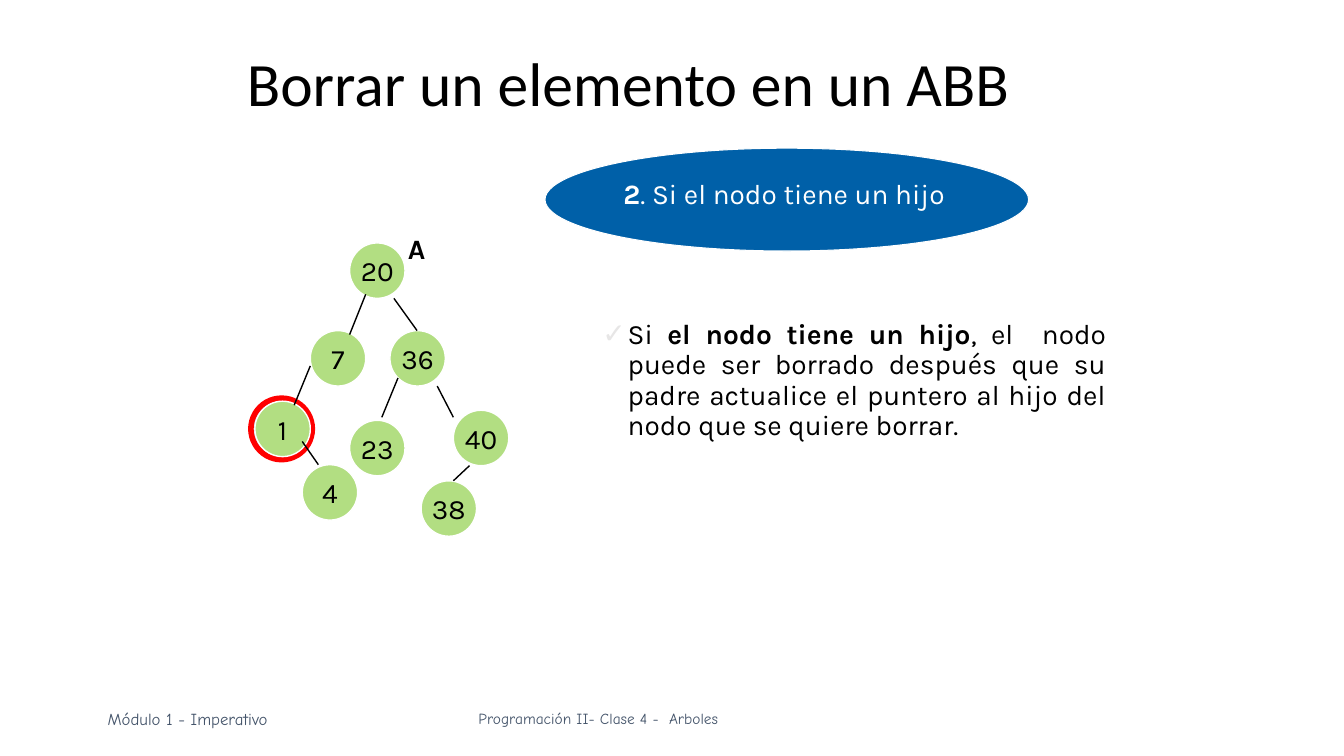
"""Build the slide on deleting a node with one child from a binary search tree."""
from lxml.etree import SubElement
from pptx import Presentation
from pptx.dml.color import RGBColor as RGB
from pptx.enum.shapes import MSO_CONNECTOR as CONN, MSO_SHAPE as SHAPE
from pptx.enum.text import MSO_ANCHOR as ANCHOR, MSO_AUTO_SIZE as AUTO, PP_ALIGN as ALIGN
from pptx.oxml.ns import qn
from pptx.util import Emu, Pt

PX = 9144
THEME = {
    "title": {"name": "Calibri", "size": Pt(44), "color": "000000"},
    "text": {"name": "Karla", "size": Pt(20), "color": "000000"},
    "label": {"name": "Karla", "size": Pt(20), "color": "FFFFFF"},
    "module": {"name": "Comic Neue", "size": Pt(12), "color": "44546A"},
    "course": {"name": "Comic Neue", "size": Pt(11), "color": "44546A"},
    "node": "B2DE82", "ring": "FF0000", "ring_fill": "BED1E0",
    "banner": "0060A8", "outline": "FFFFFF", "edge": "000000", "bullet": "E7E6E6",
}


def write(sp, runs, style, align=ALIGN.LEFT, anchor=ANCHOR.TOP, wrap=True):
    """Fill a shape with one paragraph of (text, bold) runs and return it."""
    tf = sp.text_frame
    frame = {"auto_size": AUTO.NONE, "word_wrap": wrap, "vertical_anchor": anchor}
    for key, value in frame.items():
        setattr(tf, key, value)
    p = tf.paragraphs[0]
    p.alignment = align
    for text, bold in runs:
        r = p.add_run()
        r.text = text
        for key, value in {**THEME[style], "bold": bold}.items():
            if key == "color":
                r.font.color.rgb = RGB.from_string(value)
            else:
                setattr(r.font, key, value)
    return p


def oval(box, fill, line, width):
    """Add a flat ellipse in px and return it."""
    sp = s.shapes.add_shape(SHAPE.OVAL, *(Emu(v * PX) for v in box))
    sp.shadow.inherit = False
    sp.fill.solid()
    sp.fill.fore_color.rgb = RGB.from_string(THEME[fill])
    sp.line.color.rgb = RGB.from_string(THEME[line])
    sp.line.width = Pt(width)
    return sp


prs = Presentation()
prs.slide_width, prs.slide_height = Emu(1334 * PX), Emu(750 * PX)
s = prs.slides.add_slide(prs.slide_layouts[1])

title, body = s.shapes.title, s.placeholders[1]
for sp, box in ((title, (235, 13, 862, 145)), (body, (588, 313, 520, 180))):
    for key, value in zip(("left", "top", "width", "height"), box):
        setattr(sp, key, Emu(value * PX))

p = write(title, [("Borrar un elemento en un ABB", False)], "title", anchor=ANCHOR.MIDDLE)
p.line_spacing = 0.9

p = write(body, [
    ("Si ", False),
    ("el nodo tiene un hijo", True),
    (", el  nodo puede ser borrado después que su padre actualice "
     "el puntero al hijo del nodo que se quiere borrar.", False),
], "text", ALIGN.JUSTIFY)
p.line_spacing, p.space_before = 0.9, Pt(10)
pPr = p._p.get_or_add_pPr()
pPr.set("marL", str(25 * PX))
pPr.set("indent", str(-25 * PX))
SubElement(SubElement(pPr, qn("a:buClr")), qn("a:srgbClr"), val=THEME["bullet"])
SubElement(pPr, qn("a:buChar"), char="✓")

oval((249, 395, 61, 61), "ring_fill", "ring", 4)

NODES = {"20": (347, 241), "7": (308, 328), "36": (387, 328), "1": (253, 398),
         "4": (300, 461), "23": (347, 417), "40": (450, 407), "38": (418, 477)}
for value, (x, y) in NODES.items():
    sp = oval((x, y, 55, 55), "node", "outline", 1)
    write(sp, [(value, False)], "text", ALIGN.CENTER, ANCHOR.MIDDLE, wrap=False)

EDGES = [(363, 292, 347, 332), (391, 296, 414, 328), (308, 363, 292, 402),
         (300, 438, 316, 461), (395, 375, 379, 414), (434, 383, 450, 414),
         (466, 462, 450, 477)]
for ends in EDGES:
    c = s.shapes.add_connector(CONN.STRAIGHT, *(Emu(v * PX) for v in ends))
    c.line.color.rgb = RGB.from_string(THEME["edge"])
    c.line.width = Pt(1)
    SubElement(c._element.spPr, qn("a:effectLst"))

oval((541, 147, 480, 102), "banner", "outline", 0.75)

TEXTS = [
    ((609, 170, 400, 44), [("2", True), (". Si el nodo tiene un hijo", False)], "label"),
    ((395, 225, 39, 44), [("A", True)], "text"),
    ((97, 698, 179, 30), [("Módulo 1 - Imperativo", False)], "module"),
    ((465, 699, 259, 29), [("Programación II- Clase 4 -  Arboles", False)], "course"),
]
for box, runs, style in TEXTS:
    sp = s.shapes.add_textbox(*(Emu(v * PX) for v in box))
    write(sp, runs, style)

prs.save("out.pptx")
